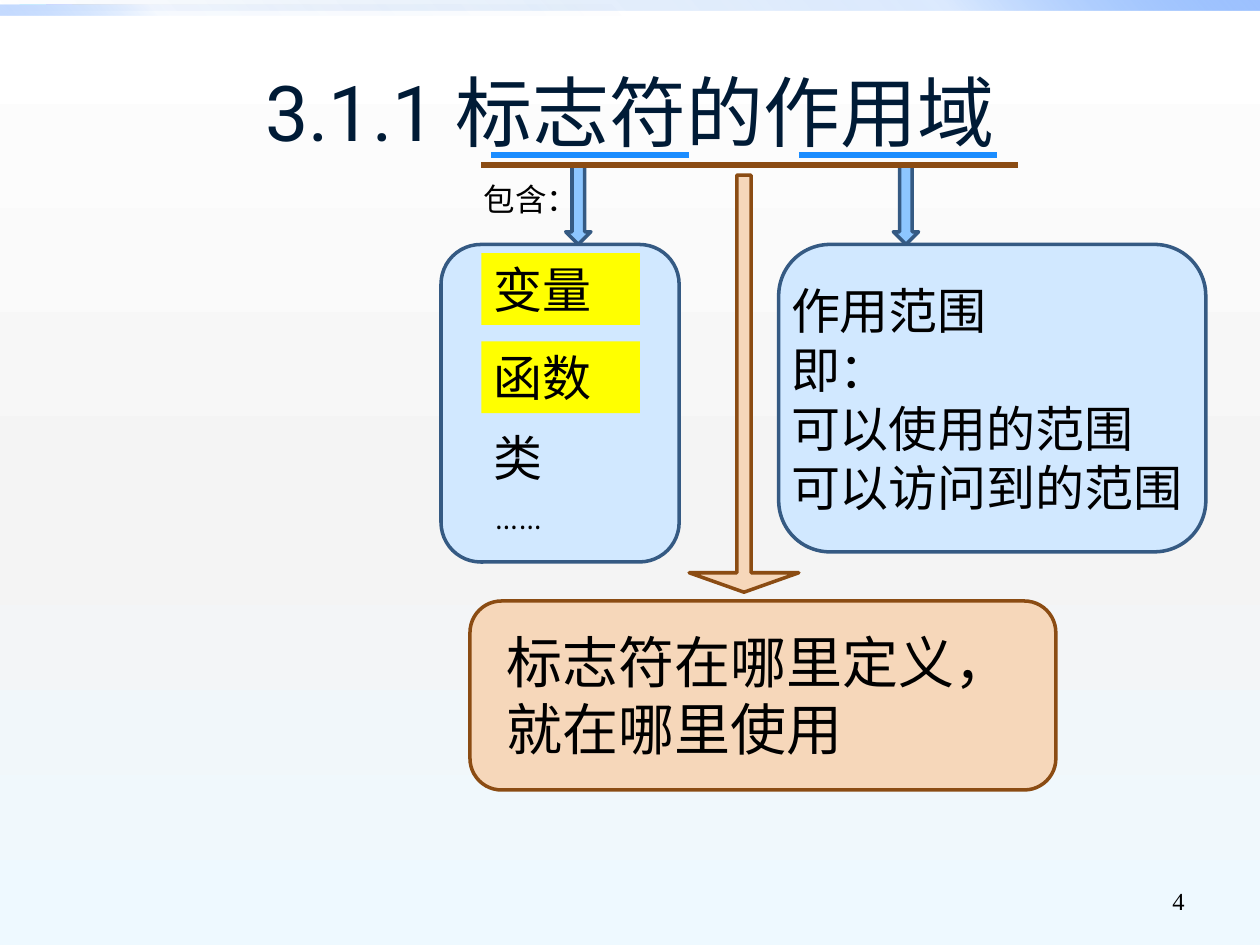
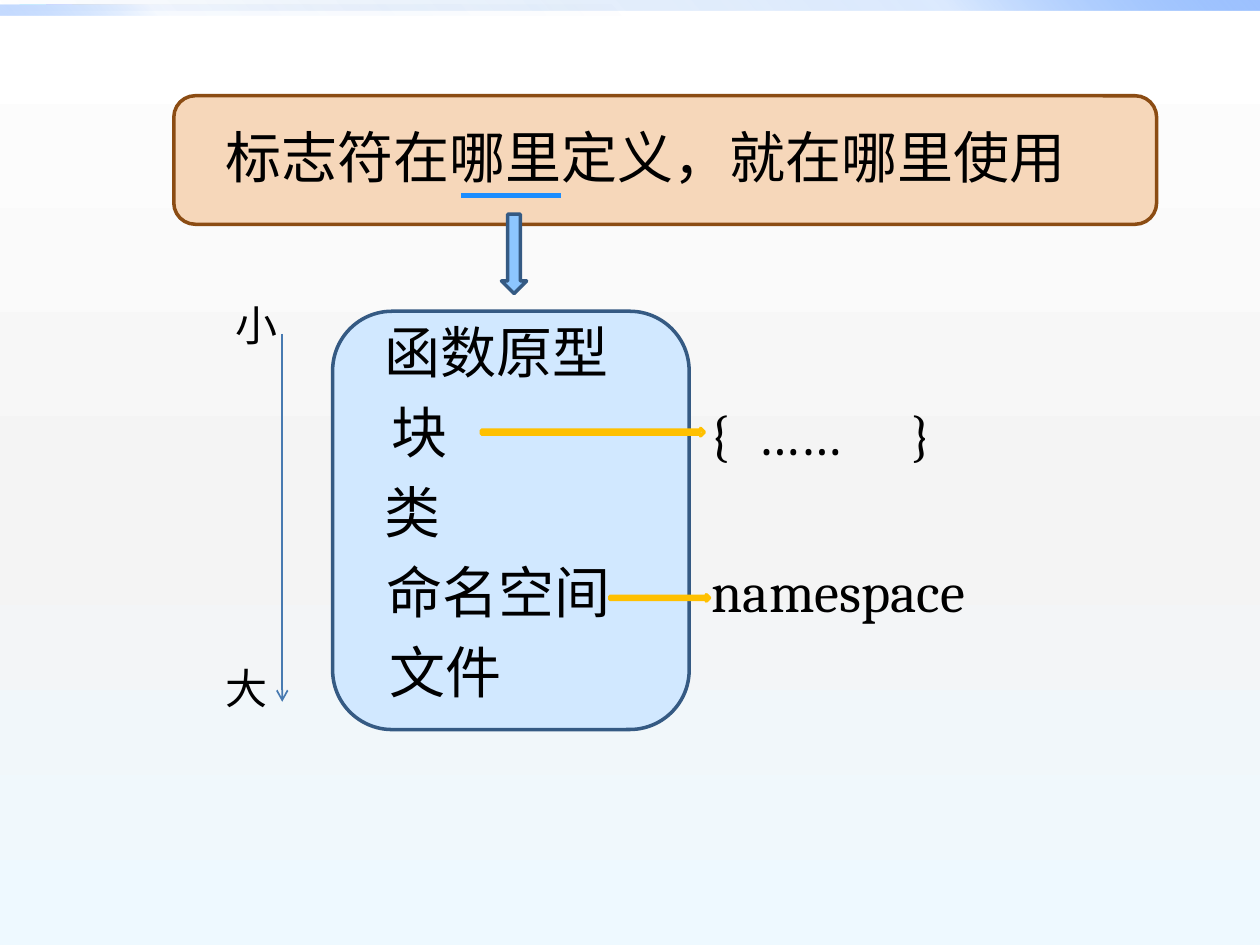
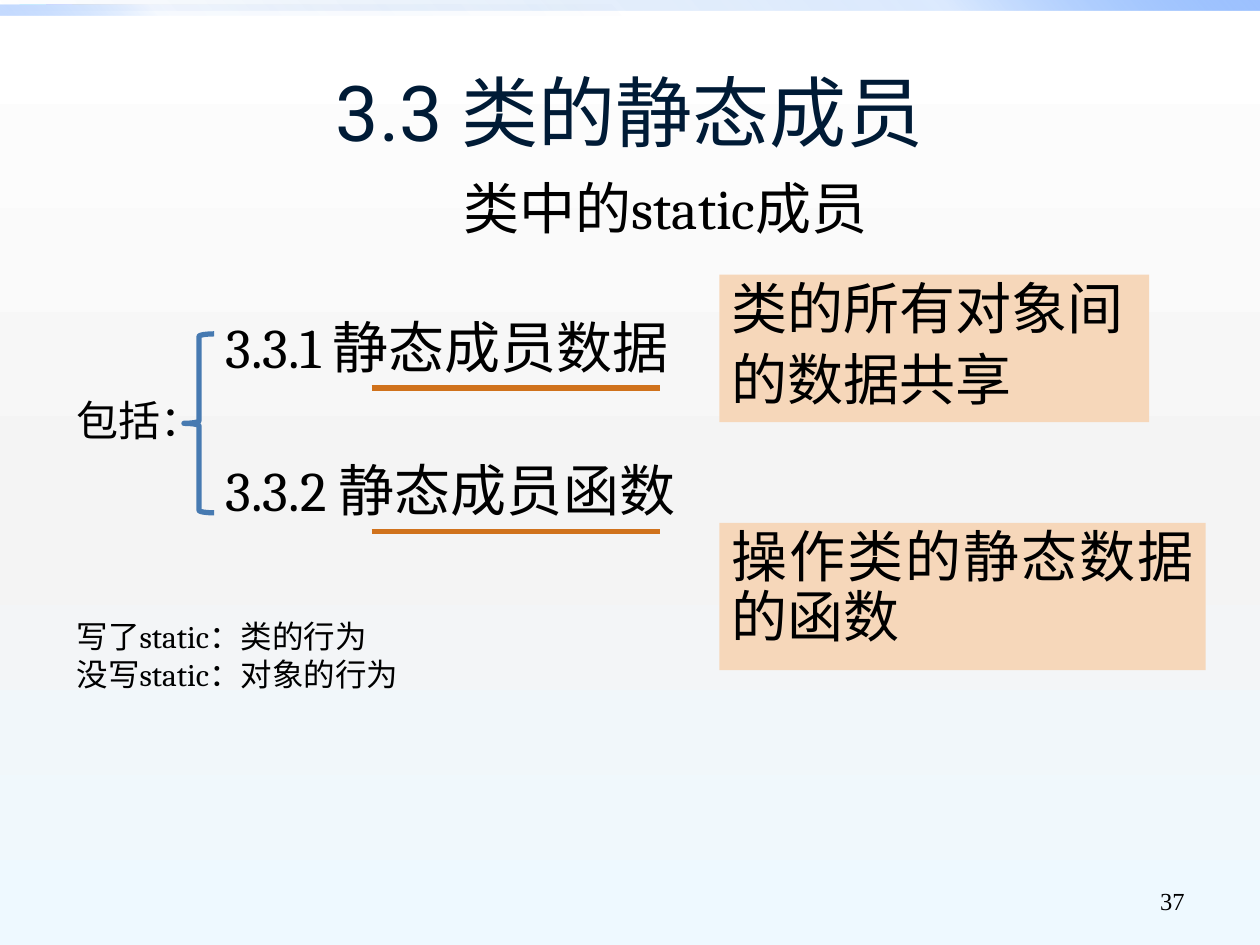
from lxml import etree
from pptx import Presentation
from pptx.dml.color import RGBColor
from pptx.enum.shapes import MSO_CONNECTOR, MSO_SHAPE
from pptx.enum.text import MSO_ANCHOR, PP_ALIGN
from pptx.oxml.ns import qn
from pptx.util import Inches, Pt

STRAIGHT = MSO_CONNECTOR.STRAIGHT
RECTANGLE = MSO_SHAPE.RECTANGLE
ROUNDED = MSO_SHAPE.ROUNDED_RECTANGLE
DOWN_ARROW = MSO_SHAPE.DOWN_ARROW
RIGHT_ARROW = MSO_SHAPE.RIGHT_ARROW
LEFT_BRACE = MSO_SHAPE.LEFT_BRACE
MIDDLE = MSO_ANCHOR.MIDDLE
LEFT, RIGHT = PP_ALIGN.LEFT, PP_ALIGN.RIGHT
CENTER, JUSTIFY = PP_ALIGN.CENTER, PP_ALIGN.JUSTIFY

WIDTH, HEIGHT = 10, 7.5
BLACK, NAVY, YELLOW = "000000", "001B36", "FFFF00"
PEACH, BROWN, ORANGE = "F6D7BA", "8B4C13", "D0721C"
PALE_BLUE, SKY_BLUE, DARK_BLUE = "D1E8FF", "8DC6FF", "355A83"
BRIGHT_BLUE, STEEL_BLUE = "1B8DFF", "477AB1"
GOLD, ICE = "FFC000", "DAE4F0"

# Gradient stops: position, colour, opacity, all but the colour in percent
BACKGROUND = [(0, "FFFFFF", 100), (55, "F4F4F4", 100), (100, "EEF9FF", 100)]
BANDS = [
    ((0, 0, WIDTH, 0.08), 315, [(0, "0058B7", 0), (75, "4F95FF", 20), (100, "9EC2FF", 100)]),
    ((0, 0.04, WIDTH / 2, 0.08), 135, [(0, "0058B7", 0), (75, "4F95FF", 5), (100, "9EC2FF", 60)]),
]
BLUE_PANEL = dict(kind=ROUNDED, fill=PALE_BLUE, line=DARK_BLUE)
PEACH_PANEL = dict(kind=ROUNDED, fill=PEACH, line=BROWN)
BLUE_ARROW = dict(kind=DOWN_ARROW, fill=SKY_BLUE, line=DARK_BLUE)
GOLD_ARROW = dict(kind=RIGHT_ARROW, fill=ICE, line=GOLD)
OUTLINE_STYLE = dict(align=JUSTIFY, line_spacing=0.9, space_before=6.4)

presentation = Presentation()
presentation.slide_width, presentation.slide_height = Inches(WIDTH), Inches(HEIGHT)


def draw(slide, at, kind=RECTANGLE, fill=None, line=None, width=2, adjustments=(),
         stops=None, angle=0, end=None, arrowhead=False):
    """Draw a preset shape at a box, or a straight line from at to end.

    With stops but no box, paint the slide's background instead.
    """
    if end:
        shape = slide.shapes.add_connector(STRAIGHT, *map(Inches, at + end))
        etree.SubElement(shape._element.spPr, qn("a:effectLst"))
    elif at:
        shape = slide.shapes.add_shape(kind, *map(Inches, at))
        shape.shadow.inherit = False
        for index, value in enumerate(adjustments):
            shape.adjustments[index] = value
    if stops:
        paint = shape.fill if at else slide.background.fill
        paint.gradient()
        owner = shape._element if at else slide._element
        gradient = owner.find(".//" + qn("a:gradFill"))
        stop_list = gradient.find(qn("a:gsLst"))
        for stop in list(stop_list):
            stop_list.remove(stop)
        for position, colour, opacity in stops:
            stop = etree.SubElement(stop_list, qn("a:gs"), pos=str(position * 1000))
            value = etree.SubElement(stop, qn("a:srgbClr"), val=colour)
            etree.SubElement(value, qn("a:alpha"), val=str(opacity * 1000))
        gradient.find(qn("a:lin")).set("ang", str(angle * 60000))
        if not at:
            return
    elif fill:
        shape.fill.solid()
        shape.fill.fore_color.rgb = RGBColor.from_string(fill)
    elif not end:
        shape.fill.background()
    if line:
        shape.line.color.rgb = RGBColor.from_string(line)
        shape.line.width = Pt(width)
    else:
        shape.line.fill.background()
    if arrowhead:
        etree.SubElement(shape.line._get_or_add_ln(), qn("a:tailEnd"), type="arrow")


def write(slide, at, text, size=32, font="Cambria", colour=BLACK, align=LEFT, anchor=None,
          fill=None, line_spacing=None, space_before=0, tabs=()):
    """Add a text box with one paragraph for each line of text."""
    box = slide.shapes.add_textbox(*map(Inches, at))
    if fill:
        box.fill.solid()
        box.fill.fore_color.rgb = RGBColor.from_string(fill)
    frame = box.text_frame
    frame.word_wrap = True
    frame.vertical_anchor = anchor
    for index, content in enumerate(text.split("\n")):
        paragraph = frame.add_paragraph() if index else frame.paragraphs[0]
        paragraph.alignment = align
        paragraph.line_spacing = line_spacing
        paragraph.space_before = Pt(space_before if index else 0)
        if tabs:
            tab_list = etree.SubElement(paragraph._p.get_or_add_pPr(), qn("a:tabLst"))
            for position in tabs:
                etree.SubElement(tab_list, qn("a:tab"), pos=str(Inches(position)), algn="l")
        run = paragraph.add_run()
        run.text = content
        for name, value in dict(name=font, size=Pt(size)).items():
            setattr(run.font, name, value)
        run.font.color.rgb = RGBColor.from_string(colour)


# What the slides share: background, top bands, title and page number
slides = []
for title, number in [("3.1.1 标志符的作用域", "4"), (None, None), ("3.3 类的静态成员", "37")]:
    slide = presentation.slides.add_slide(presentation.slide_layouts[6])
    draw(slide, None, stops=BACKGROUND, angle=90)
    for at, angle, stops in BANDS:
        draw(slide, at, stops=stops, angle=angle)
    if title:
        write(slide, (0.5, 0.3, WIDTH - 1, 1.25), title, 44, "Roboto", NAVY, CENTER, MIDDLE,
              line_spacing=0.9)
        write(slide, (7.17, 6.95, 2.33, 0.4), number, 14, "Times New Roman",
              align=RIGHT, anchor=MIDDLE)
    slides.append(slide)
scope_slide, levels_slide, static_slide = slides

# Scope of an identifier
draw(scope_slide, (3.73, 4.77, 4.65, 1.5), **PEACH_PANEL)
draw(scope_slide, (5.47, 1.39, 0.87, 3.31), DOWN_ARROW, PEACH, BROWN, adjustments=(0.131, 0.177))
for panel, arrow_left, underline_left in [
    ((6.18, 1.94, 3.39, 2.44), 7.09, 6.34),
    ((3.5, 1.94, 1.89, 2.52), 4.49, 3.9),
]:
    draw(scope_slide, panel, **BLUE_PANEL)
    draw(scope_slide, (arrow_left, 1.31, 0.2, 0.63), **BLUE_ARROW)
    draw(scope_slide, (underline_left, 1.23), end=(underline_left + 1.57, 1.23),
         line=BRIGHT_BLUE, width=3)
draw(scope_slide, (3.82, 1.31), end=(8.08, 1.31), line=BROWN, width=3)
write(scope_slide, (3.74, 1.38, 0.75, 0.4), "包含：", 18)
for top, height, kind_of_identifier, size, fill in [
    (2.01, 0.57, "变量", 28, YELLOW),
    (2.71, 0.57, "函数", 28, YELLOW),
    (3.34, 0.57, "类", 28, None),
    (3.9, 0.4, "……", 18, None),
]:
    write(scope_slide, (3.82, top, 1.26, height), kind_of_identifier, size, fill=fill)
write(scope_slide, (6.18, 2.18, 3.39, 1.99),
      "作用范围\n即：\n可以使用的范围\n可以访问到的范围", 28)
write(scope_slide, (3.92, 4.93, 4.39, 1.18), "标志符在哪里定义，\n就在哪里使用")

# Scope levels from small to large
draw(levels_slide, (1.38, 0.76, 7.8, 1.02), **PEACH_PANEL)
write(levels_slide, (1.69, 0.92, 6.93, 0.64), "标志符在哪里定义，就在哪里使用")
draw(levels_slide, (3.66, 1.55), end=(4.45, 1.55), line=BRIGHT_BLUE, width=3)
draw(levels_slide, (3.98, 1.7, 0.2, 0.63), **BLUE_ARROW)
draw(levels_slide, (2.64, 2.47, 2.83, 3.32), **BLUE_PANEL)
levels = [(2.95, "函数原型"), (3.01, "块"), (2.95, "类"), (2.97, "命名空间"), (2.99, "文件")]
for row, (left, level) in enumerate(levels):
    write(levels_slide, (left, 2.47 + row * 0.635, 2.26, 0.64), level)
write(levels_slide, (5.53, 3.12, 2.38, 0.64), "{\t……\t}", tabs=(0.38, 1.6))
write(levels_slide, (5.55, 4.37, 2.6, 0.64), "namespace")
for at in [(3.82, 3.4, 1.77, 0.06), (4.84, 4.72, 0.79, 0.05)]:
    draw(levels_slide, at, **GOLD_ARROW)
draw(levels_slide, (2.24, 2.65), end=(2.24, 5.57), line=STEEL_BLUE, width=1, arrowhead=True)
for left, top, extent in [(1.77, 2.33, "小"), (1.69, 5.21, "大")]:
    write(levels_slide, (left, top, 0.71, 0.5), extent, 24)

# Static members of a class
write(static_slide, (3.58, 1.39, 4.18, 0.79), "类中的static成员", **OUTLINE_STYLE)
write(static_slide, (1.69, 2.49, 4.41, 2.2), "3.3.1 静态成员数据\n3.3.2 静态成员函数",
      **{**OUTLINE_STYLE, "space_before": 47.5})
for underline_top, note_top, note_width, note in [
    (3.08, 2.18, 3.41, "类的所有对象间\n的数据共享"),
    (4.22, 4.15, 3.86, "操作类的静态数据的函数"),
]:
    draw(static_slide, (2.95, underline_top), end=(5.24, underline_top), line=ORANGE, width=3)
    write(static_slide, (5.71, note_top, note_width, 1.17), note, fill=PEACH, **OUTLINE_STYLE)
draw(static_slide, (1.46, 2.65, 0.24, 1.42), LEFT_BRACE, line=STEEL_BLUE, width=3)
write(static_slide, (0.51, 3.08, 1.21, 0.83), "包括：", 24)
write(static_slide, (0.51, 4.85, 2.81, 0.71), "写了static：类的行为\n没写static：对象的行为", 18)

presentation.save("out.pptx")
